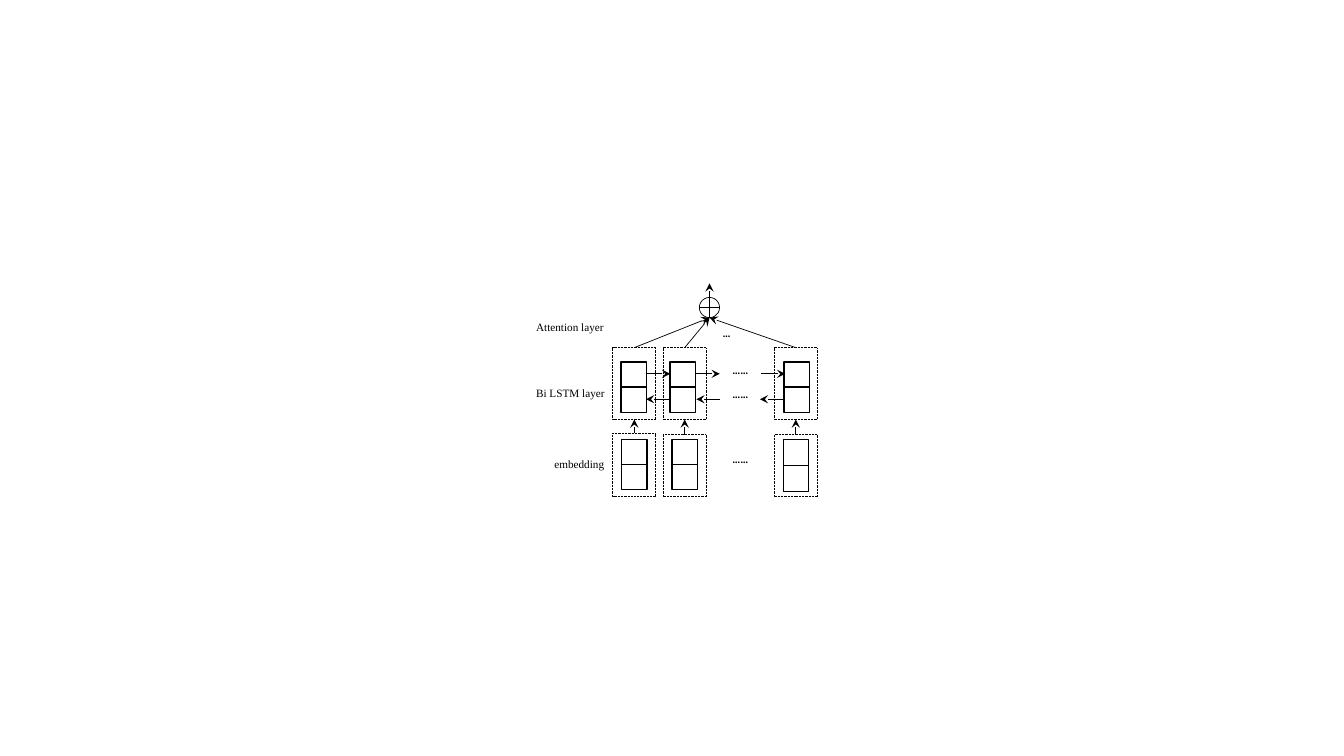
"""Draw an attention-based Bi LSTM network diagram on one slide."""
from lxml import etree
from pptx import Presentation
from pptx import util as u
from pptx.dml.color import RGBColor
from pptx.enum import dml, shapes, text
from pptx.oxml import ns

BLACK = RGBColor(0, 0, 0)
WHITE = RGBColor(255, 255, 255)

CELL_W = 0.64
CELL_H = 1.27
FRAME_W = 1.09
LSTM_TOP = 8.76
LSTM_BOTTOM = 10.57
SUM_X, SUM_Y, SUM_R = 17.88, 7.75, 0.255

FRAMES = [(15.44, 10.92, 1.6), (16.71, 10.95, 1.57), (19.51, 10.95, 1.57)]
EMBEDDING_CELLS = [(15.67, CELL_H), (16.94, CELL_H), (19.74, 1.32)]
LSTM_CELLS = [15.65, 16.89, 19.76]
FORWARD = [(16.31, 16.89), (17.53, 18.14), (19.18, 19.79)]
BACKWARD = [(16.87, 16.28), (18.14, 17.55), (19.76, 19.15)]
DOTS = [("……", 18.21, 11.28, 1.09), ("……", 18.21, 9.63, 0.91),
        ("……", 18.21, 9.02, 1.09), ("…", 17.96, 8.1, 0.53)]
LABELS = [("Attention layer", 13.26, 7.62, 2.29), ("Bi LSTM layer", 13.26, 9.27, 2.29),
          ("embedding", 13.72, 11.07, 1.83)]

DOT_FONT = {"name": "Calibri", "size": u.Pt(8), "bold": True}
LABEL_FONT = {"name": "Times New Roman", "size": u.Pt(8)}
FRAME_LINE = {"width": u.Pt(0.5), "dash_style": dml.MSO_LINE.ROUND_DOT}


def apply(obj, formats):
    """Set each named attribute of an object."""
    for name, value in formats.items():
        setattr(obj, name, value)


def add_outline(s, kind, x, y, w, h, line, filled=True):
    """Add a black-outlined shape, white or unfilled."""
    sp = s.shapes.add_shape(kind, u.Cm(x), u.Cm(y), u.Cm(w), u.Cm(h))
    sp.shadow.inherit = False
    if filled:
        sp.fill.solid()
        sp.fill.fore_color.rgb = WHITE
    else:
        sp.fill.background()
    sp.line.color.rgb = BLACK
    apply(sp.line, line)


def add_line(s, x1, y1, x2, y2, width=0.5, arrow=False):
    """Add a straight black line, optionally with an arrowhead at its end."""
    sp = s.shapes.add_connector(shapes.MSO_CONNECTOR.STRAIGHT,
                                u.Cm(x1), u.Cm(y1), u.Cm(x2), u.Cm(y2))
    sp.line.color.rgb = BLACK
    sp.line.width = u.Pt(width)
    if arrow:
        etree.SubElement(sp.line._get_or_add_ln(), ns.qn("a:tailEnd"), type="stealth")
    etree.SubElement(sp._element.spPr, ns.qn("a:effectLst"))


def add_cell(s, x, y, h):
    """Add a vertical pair of units as a box split in the middle."""
    add_outline(s, shapes.MSO_SHAPE.RECTANGLE, x, y, CELL_W, h, {"width": u.Pt(1)})
    add_line(s, x, y + h / 2, x + CELL_W, y + h / 2, width=1)


def add_text(s, words, x, y, w, h, font, spacing=1.0):
    """Add a one-line text box."""
    tf = s.shapes.add_textbox(u.Cm(x), u.Cm(y), u.Cm(w), u.Cm(h)).text_frame
    apply(tf, {"word_wrap": True, "auto_size": text.MSO_AUTO_SIZE.SHAPE_TO_FIT_TEXT})
    p = tf.paragraphs[0]
    p.line_spacing = spacing
    r = p.add_run()
    r.text = words
    apply(r.font, font)
    r.font.color.rgb = BLACK


def add_sum(s):
    """Add the circled plus that merges the attention inputs."""
    left, top = SUM_X - SUM_R, SUM_Y - SUM_R
    add_outline(s, shapes.MSO_SHAPE.OVAL, left, top, 2 * SUM_R, 2 * SUM_R,
                {"width": u.Pt(0.5)})
    add_line(s, left, SUM_Y, SUM_X + SUM_R, SUM_Y)
    add_line(s, SUM_X, top, SUM_X, SUM_Y + SUM_R)
    add_line(s, SUM_X, top, SUM_X, 7.14, arrow=True)


def main():
    """Build and save the slide."""
    prs = Presentation()
    apply(prs, {"slide_width": u.Cm(33.87), "slide_height": u.Cm(19.05)})
    s = prs.slides.add_slide(prs.slide_layouts[6])

    for x, h in EMBEDDING_CELLS:
        add_cell(s, x, 11.07, h)
    for x in LSTM_CELLS:
        add_cell(s, x, 9.12, CELL_H)
    for y, steps in ((9.42, FORWARD), (10.06, BACKWARD)):
        for start, end in steps:
            add_line(s, start, y, end, y, arrow=True)

    add_sum(s)
    for x, top, h in FRAMES:
        mid = x + FRAME_W / 2
        for y, height in ((top, h), (LSTM_TOP, LSTM_BOTTOM - LSTM_TOP)):
            add_outline(s, shapes.MSO_SHAPE.RECTANGLE, x, y, FRAME_W, height,
                        FRAME_LINE, filled=False)
        add_line(s, mid, top, mid, LSTM_BOTTOM, arrow=True)
        add_line(s, mid, LSTM_TOP, SUM_X, SUM_Y + SUM_R, arrow=True)

    for words, x, y, w in DOTS:
        add_text(s, words, x, y, w, 0.81, DOT_FONT)
    for words, x, y, w in LABELS:
        add_text(s, words, x, y, w, 1.35, LABEL_FONT, spacing=2.0)
    prs.save("out.pptx")


if __name__ == "__main__":
    main()
